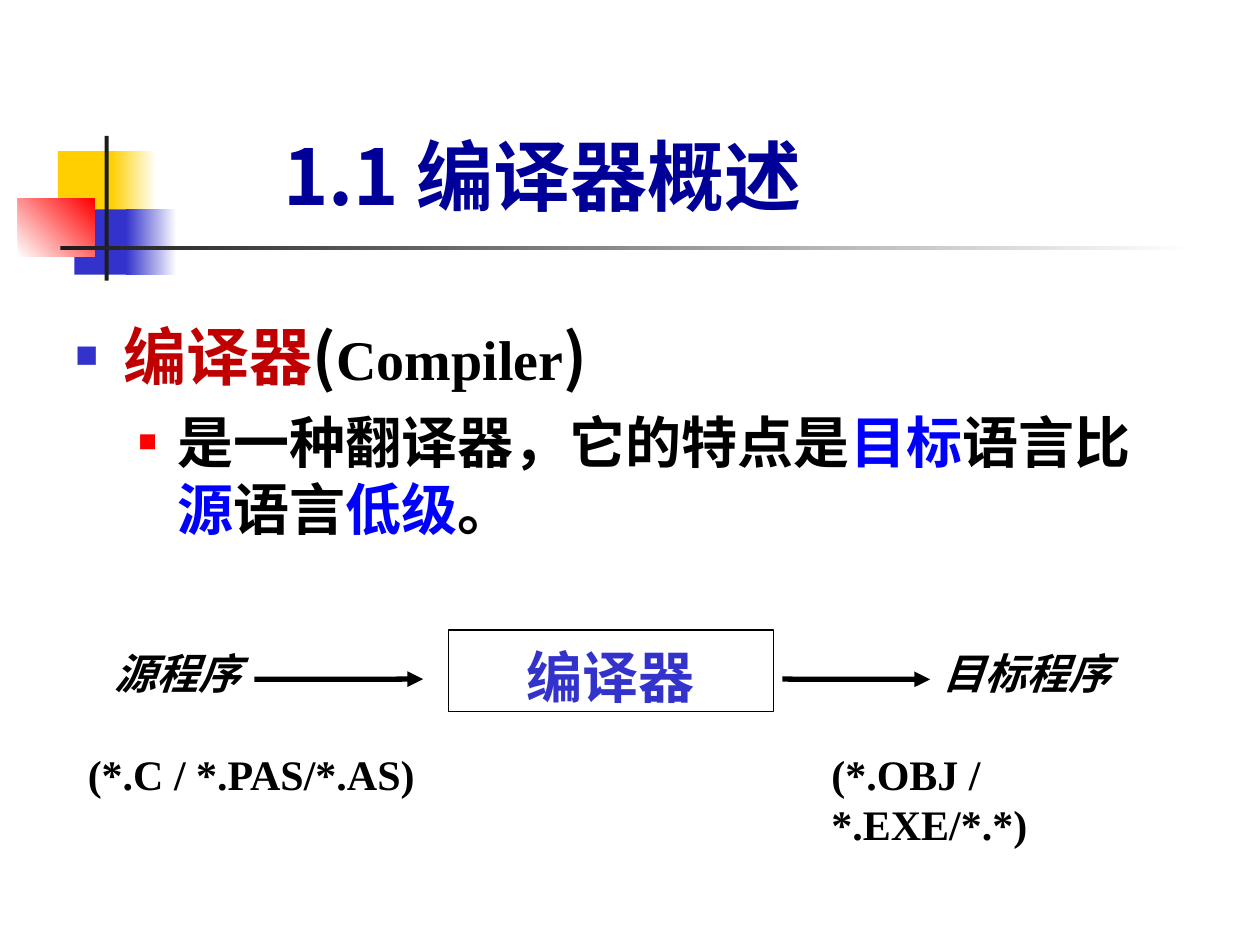
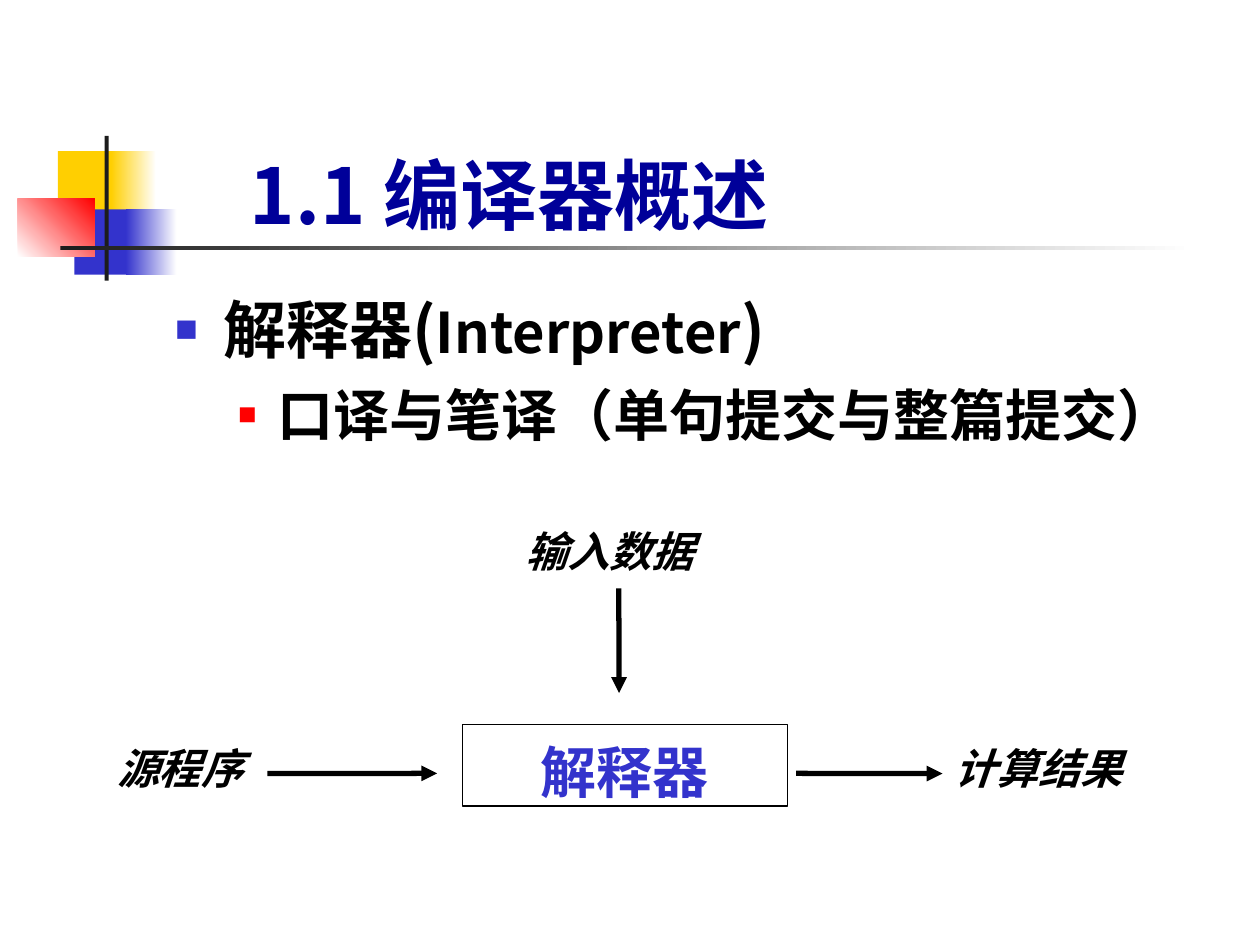
from dataclasses import dataclass
from typing import Optional

from lxml.etree import SubElement
from pptx import Presentation
from pptx.dml.color import RGBColor
from pptx.enum.shapes import MSO_CONNECTOR as Connector, MSO_SHAPE as Preset
from pptx.enum.text import MSO_ANCHOR as Anchor, MSO_AUTO_SIZE as AutoSize, PP_ALIGN as Align
from pptx.oxml.ns import qn
from pptx.util import Cm, Pt

TOP, LEFT, BOTTOM, RIGHT = range(4)


@dataclass(frozen=True)
class Theme:
    navy: str = "000099"
    blue: str = "3333CC"
    bright_blue: str = "0000FF"
    red: str = "FF0000"
    dark_red: str = "C00000"
    yellow: str = "FFCF01"
    charcoal: str = "1C1C1C"
    white: str = "FFFFFF"
    black: str = "000000"
    title_font: str = "Noto Sans CJK JP"
    text_font: str = "Noto Sans CJK SC"
    latin_font: str = "Times New Roman"
    title_size: int = 44
    heading_size: int = 36
    detail_size: int = 32
    label_size: int = 24


THEME = Theme()


@dataclass(frozen=True)
class Area:
    left: float
    top: float
    width: float
    height: float

    def lengths(self) -> tuple:
        return Cm(self.left), Cm(self.top), Cm(self.width), Cm(self.height)


@dataclass(frozen=True)
class Block:
    area: Area
    start: str
    end: Optional[str] = None
    angle: int = 0


@dataclass(frozen=True)
class Part:
    text: str
    color: str = THEME.black
    size: int = THEME.detail_size
    font: str = THEME.text_font


@dataclass(frozen=True)
class BulletStyle:
    indent: float
    hanging: float
    color: str
    percent: int
    line_height: float
    space_before: int


@dataclass(frozen=True)
class Arrow:
    side: int
    free_x: float
    free_y: float
    outgoing: bool = True


@dataclass(frozen=True)
class Label:
    text: str
    area: Area
    arrow: Optional[Arrow] = None
    italic: bool = True
    wraps: bool = False


@dataclass(frozen=True)
class Topic:
    title_area: Area
    body_area: Area
    heading: list
    detail: list
    box_text: str
    box_area: Area
    labels: list


MOTIF = [
    Block(Area(1.17, 3.05, 1.22, 1.32), THEME.yellow),
    Block(Area(2.24, 3.05, 0.91, 1.32), THEME.yellow, THEME.white),
    Block(Area(1.5, 4.22, 1.17, 1.32), THEME.blue),
    Block(Area(2.54, 4.22, 1.02, 1.32), THEME.blue, THEME.white),
    Block(Area(0.36, 4.01, 1.55, 1.17), THEME.white, THEME.red, 45),
    Block(Area(2.11, 2.74, 0.08, 2.92), THEME.charcoal),
    Block(Area(1.22, 4.95, 22.86, 0.09), THEME.charcoal, THEME.white),
]

BULLETS = [
    BulletStyle(0.97, 0.97, THEME.blue, 60, 1.3, 0),
    BulletStyle(2.06, 0.79, THEME.red, 55, 1.2, 8),
]

TITLE = "1.1 编译器概述"

TOPICS = [
    Topic(
        title_area=Area(3.61, 2.54, 14.66, 1.91),
        body_area=Area(1.27, 6.15, 22.6, 3.61),
        heading=[
            Part("编译器", THEME.dark_red, THEME.heading_size),
            Part("(", size=THEME.heading_size),
            Part("Compiler", font=THEME.latin_font),
            Part(")", size=THEME.heading_size),
        ],
        detail=[
            Part("是一种翻译器，它的特点是"),
            Part("目标", THEME.bright_blue),
            Part("语言比"),
            Part("源", THEME.bright_blue),
            Part("语言"),
            Part("低级", THEME.bright_blue),
            Part("。"),
        ],
        box_text="编译器",
        box_area=Area(9.04, 12.7, 6.55, 1.65),
        labels=[
            Label("源程序", Area(2.06, 13.06, 3.07, 1.27), Arrow(RIGHT, 8.53, 13.69)),
            Label("目标程序", Area(18.75, 13.06, 3.91, 1.27),
                  Arrow(LEFT, 15.77, 13.69, outgoing=False)),
            Label("(*.C / *.PAS/*.AS)", Area(1.52, 14.96, 7.16, 1.27), italic=False),
            Label("(*.OBJ / *.EXE/*.*)", Area(16.51, 14.96, 7.45, 1.27),
                  italic=False, wraps=True),
        ],
    ),
    Topic(
        title_area=Area(2.11, 2.72, 16.31, 2.11),
        body_area=Area(3.28, 5.61, 21.59, 4.24),
        heading=[
            Part("解释器(", size=THEME.heading_size, font=THEME.title_font),
            Part("Interpreter", font=THEME.title_font),
            Part(")", size=THEME.heading_size, font=THEME.title_font),
        ],
        detail=[Part("口译与笔译（单句提交与整篇提交）", font=THEME.title_font)],
        box_text="解释器",
        box_area=Area(9.32, 14.6, 6.55, 1.65),
        labels=[
            Label("源程序", Area(2.11, 14.96, 3.28, 1.27),
                  Arrow(RIGHT, 8.81, 15.59), wraps=True),
            Label("输入数据", Area(10.34, 10.59, 4.27, 1.27),
                  Arrow(BOTTOM, 12.48, 13.97), wraps=True),
            Label("计算结果", Area(19, 14.96, 3.91, 1.27),
                  Arrow(LEFT, 16.05, 15.59, outgoing=False)),
        ],
    ),
]


def format_run(run, size: int, font: str, color: str, italic: bool = False) -> None:
    run.font.size = Pt(size)
    run.font.name = font
    run.font.bold = True
    run.font.italic = italic
    run.font.color.rgb = RGBColor.from_string(color)
    east_asian = THEME.text_font if font == THEME.latin_font else font
    latin = run.font._element.find(qn("a:latin"))
    east_asian_element = SubElement(run.font._element, qn("a:ea"), typeface=east_asian)
    latin.addnext(east_asian_element)


def draw_block(slide, block: Block) -> None:
    shape = slide.shapes.add_shape(Preset.RECTANGLE, *block.area.lengths())
    shape.shadow.inherit = False
    shape.line.fill.background()
    if block.end is None:
        shape.fill.solid()
        shape.fill.fore_color.rgb = RGBColor.from_string(block.start)
        return
    shape.fill.gradient()
    shape.fill.gradient_angle = block.angle
    for stop, color in zip(shape.fill.gradient_stops, (block.start, block.end)):
        stop.color.rgb = RGBColor.from_string(color)


def set_title(slide, area: Area) -> None:
    title = slide.shapes.title
    title.left, title.top, title.width, title.height = area.lengths()
    frame = title.text_frame
    frame.text = TITLE
    frame.auto_size = AutoSize.NONE
    frame.vertical_anchor = Anchor.BOTTOM
    frame.margin_bottom = 0
    paragraph = frame.paragraphs[0]
    paragraph.alignment = Align.CENTER
    format_run(paragraph.runs[0], THEME.title_size, THEME.title_font, THEME.navy)


def add_bullet(paragraph, style: BulletStyle) -> None:
    properties = paragraph._p.get_or_add_pPr()
    properties.set("marL", str(Cm(style.indent)))
    properties.set("indent", str(-Cm(style.hanging)))
    color = SubElement(properties, qn("a:buClr"))
    SubElement(color, qn("a:srgbClr"), val=style.color)
    SubElement(properties, qn("a:buSzPct"), val=str(style.percent * 1000))
    SubElement(properties, qn("a:buFont"), typeface=THEME.latin_font)
    SubElement(properties, qn("a:buChar"), char="■")


def draw_body(slide, topic: Topic) -> None:
    frame = slide.shapes.add_textbox(*topic.body_area.lengths()).text_frame
    frame.word_wrap = True
    frame.add_paragraph()
    contents = (topic.heading, topic.detail)
    for level, (paragraph, parts, style) in enumerate(zip(frame.paragraphs, contents, BULLETS)):
        paragraph.level = level
        paragraph.line_spacing = Pt(style.line_height * parts[0].size)
        paragraph.space_before = Pt(style.space_before)
        add_bullet(paragraph, style)
        for part in parts:
            run = paragraph.add_run()
            run.text = part.text
            format_run(run, part.size, part.font, part.color)


def draw_box(slide, topic: Topic) -> None:
    shape = slide.shapes.add_shape(Preset.RECTANGLE, *topic.box_area.lengths())
    shape.shadow.inherit = False
    shape.fill.background()
    shape.line.color.rgb = RGBColor.from_string(THEME.black)
    shape.line.width = Pt(0.75)
    frame = shape.text_frame
    frame.text = topic.box_text
    frame.vertical_anchor = Anchor.TOP
    frame.margin_bottom = 0
    paragraph = frame.paragraphs[0]
    paragraph.alignment = Align.CENTER
    paragraph.line_spacing = 1.1
    format_run(paragraph.runs[0], THEME.detail_size, THEME.text_font, THEME.blue)


def draw_label(slide, label: Label):
    shape = slide.shapes.add_textbox(*label.area.lengths())
    frame = shape.text_frame
    frame.text = label.text
    frame.word_wrap = label.wraps
    paragraph = frame.paragraphs[0]
    if label.italic:
        frame.margin_top = frame.margin_bottom = 0
    else:
        paragraph.line_spacing = Pt(1.2 * THEME.label_size)
    format_run(paragraph.runs[0], THEME.label_size, THEME.latin_font, THEME.black, label.italic)
    return shape


def draw_arrow(slide, shape, arrow: Arrow) -> None:
    x, y = Cm(arrow.free_x), Cm(arrow.free_y)
    connector = slide.shapes.add_connector(Connector.STRAIGHT, x, y, x, y)
    if arrow.outgoing:
        connector.begin_connect(shape, arrow.side)
    else:
        connector.end_connect(shape, arrow.side)
    connector.line.color.rgb = RGBColor.from_string(THEME.black)
    connector.line.width = Pt(3)
    SubElement(connector.line._get_or_add_ln(), qn("a:tailEnd"), type="triangle")
    SubElement(connector._element.spPr, qn("a:effectLst"))


def build_slide(presentation, topic: Topic) -> None:
    slide = presentation.slides.add_slide(presentation.slide_layouts.get_by_name("Title Only"))
    set_title(slide, topic.title_area)
    for block in MOTIF:
        draw_block(slide, block)
    draw_body(slide, topic)
    for label in topic.labels:
        shape = draw_label(slide, label)
        if label.arrow:
            draw_arrow(slide, shape, label.arrow)
    draw_box(slide, topic)


def main() -> None:
    presentation = Presentation()
    presentation.slide_width = Cm(25.4)
    presentation.slide_height = Cm(19.05)
    for topic in TOPICS:
        build_slide(presentation, topic)
    presentation.save("out.pptx")


if __name__ == "__main__":
    main()
